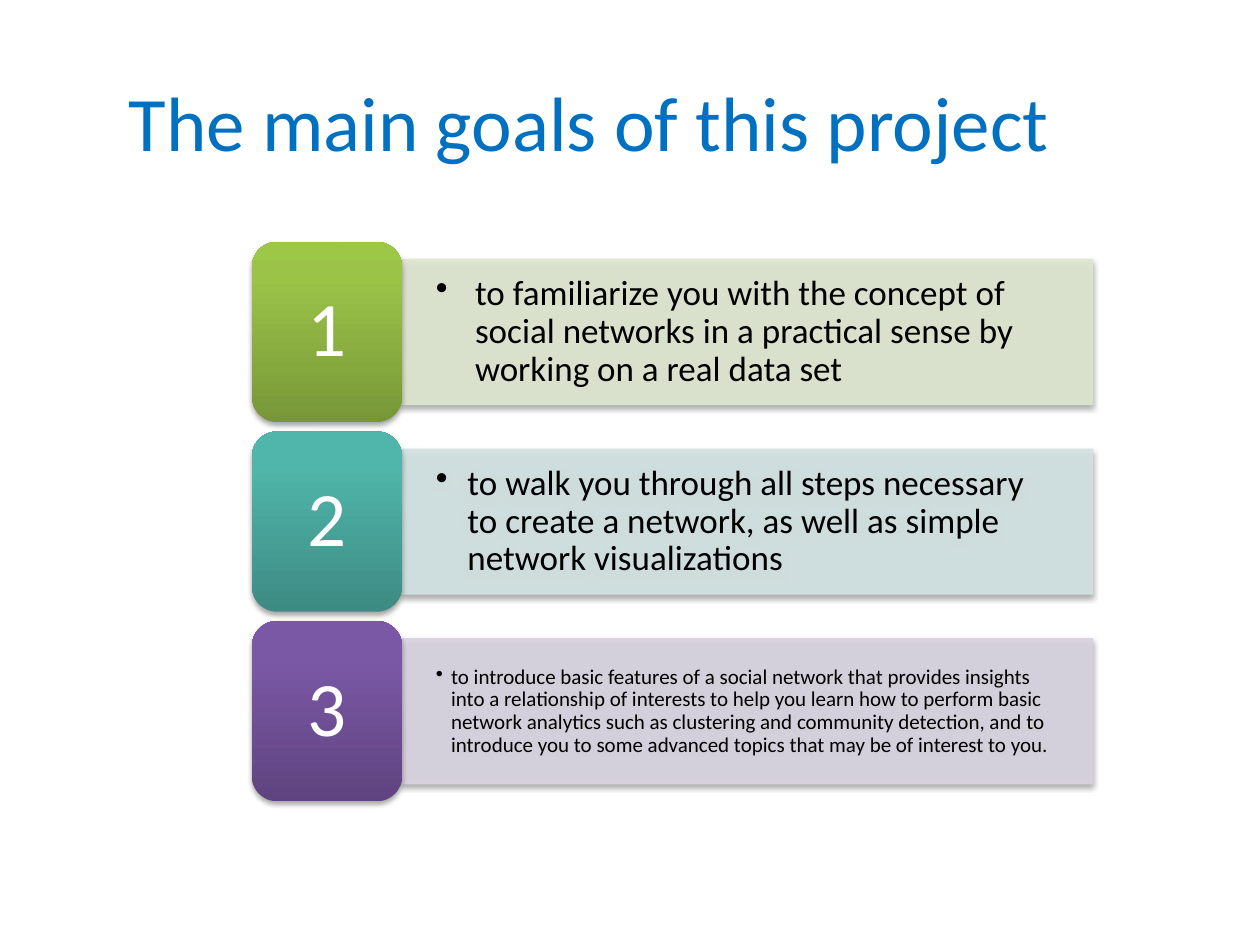
from dataclasses import dataclass

from lxml.etree import SubElement
from pptx import Presentation
from pptx.dml.color import RGBColor
from pptx.enum.shapes import MSO_SHAPE
from pptx.enum.text import MSO_ANCHOR, PP_ALIGN
from pptx.oxml.ns import qn
from pptx.util import Inches, Pt


@dataclass(frozen=True)
class Theme:
    font: str = "Calibri"
    title: str = "0070C0"
    goal: str = "000000"
    number: str = "FFFFFF"
    shadow: str = "000000"
    heading_size: int = 44


@dataclass(frozen=True)
class Goal:
    text: str
    size: int
    indent: float
    bar: str
    gradient: tuple[str, str, str]


THEME = Theme()
GOALS = (
    Goal(
        "to familiarize you with the concept of social networks in a practical "
        "sense by working on a real data set",
        20, 0.31, "DEE7D1", ("779737", "9BC348", "9DC746"),
    ),
    Goal(
        "to walk you through all steps necessary to create a network, as well as "
        "simple network visualizations",
        20, 0.25, "D2E3E2", ("3D8B83", "50B5AA", "4EB8AC"),
    ),
    Goal(
        "to introduce basic features of a social network that provides insights "
        "into a relationship of interests to help you learn how to perform basic "
        "network analytics such as clustering and community detection, and to "
        "introduce you to some advanced topics that may be of interest to you.",
        12, 0.12, "D8D3E0", ("5F4480", "7B58A6", "7C57A8"),
    ),
)
BADGE_LEFT, BADGE_WIDTH, BADGE_HEIGHT = 2, 1.19, 1.43
BAR_WIDTH, BAR_HEIGHT = 5.48, 1.15
FIRST_TOP, LAST_TOP = 1.92, 4.93
ROW_PITCH = (LAST_TOP - FIRST_TOP) / (len(GOALS) - 1)


def apply_format(target, values: dict) -> None:
    for name, value in values.items():
        setattr(target, name, value)


def write_text(shape, text: str, size: int, color: str, align, inset: tuple[float, float]):
    side, edge = map(Inches, inset)
    frame = shape.text_frame
    apply_format(frame, {
        "word_wrap": True, "vertical_anchor": MSO_ANCHOR.MIDDLE,
        "margin_left": side, "margin_right": side,
        "margin_top": edge, "margin_bottom": edge,
    })
    paragraph = frame.paragraphs[0]
    apply_format(paragraph, {"alignment": align, "line_spacing": 0.9})
    run = paragraph.add_run()
    run.text = text
    apply_format(run.font, {"name": THEME.font, "size": Pt(size)})
    run.font.color.rgb = RGBColor.from_string(color)
    return paragraph


def add_shadow(shape) -> None:
    shape.shadow.inherit = False
    effects = shape._element.spPr.find(qn("a:effectLst"))
    outer = SubElement(effects, qn("a:outerShdw"), blurRad=str(Pt(3.1)),
                       dist=str(Pt(1.8)), dir="5400000", rotWithShape="0")
    color = SubElement(outer, qn("a:srgbClr"), val=THEME.shadow)
    SubElement(color, qn("a:alpha"), val="35000")


def add_bar(slide, goal: Goal, top: float) -> None:
    bar = slide.shapes.add_shape(
        MSO_SHAPE.RECTANGLE, Inches(BADGE_LEFT + BADGE_WIDTH),
        Inches(top + (BADGE_HEIGHT - BAR_HEIGHT) / 2),
        Inches(BAR_WIDTH), Inches(BAR_HEIGHT))
    bar.fill.solid()
    bar.line.width = Pt(0.75)
    for paint in (bar.fill.fore_color, bar.line.color):
        paint.rgb = RGBColor.from_string(goal.bar)
    for color in bar._element.spPr.iter(qn("a:srgbClr")):
        SubElement(color, qn("a:alpha"), val="90000")
    add_shadow(bar)
    paragraph = write_text(bar, goal.text, goal.size, THEME.goal,
                           PP_ALIGN.LEFT, (0.27, 0.14))
    properties = paragraph._p.get_or_add_pPr()
    properties.set("marL", str(Inches(goal.indent)))
    properties.set("indent", str(-Inches(goal.indent)))
    SubElement(properties, qn("a:buChar"), char="•")


def add_badge(slide, number: int, goal: Goal, top: float) -> None:
    badge = slide.shapes.add_shape(
        MSO_SHAPE.ROUNDED_RECTANGLE, Inches(BADGE_LEFT), Inches(top),
        Inches(BADGE_WIDTH), Inches(BADGE_HEIGHT))
    badge.fill.gradient()
    badge.fill.gradient_angle = 90
    stops = badge._element.spPr.find(qn("a:gradFill")).find(qn("a:gsLst"))
    for stop in list(stops):
        stops.remove(stop)
    for percent, color in zip((0, 80, 100), goal.gradient):
        stop = SubElement(stops, qn("a:gs"), pos=str(percent * 1000))
        SubElement(stop, qn("a:srgbClr"), val=color)
    badge.line.fill.background()
    add_shadow(badge)
    write_text(badge, str(number), THEME.heading_size, THEME.number,
               PP_ALIGN.CENTER, (0.18, 0.09))


def add_title(slide, text: str) -> None:
    title = slide.shapes.title
    apply_format(title, {
        "left": Inches(0.92), "top": Inches(0.33),
        "width": Inches(8.83), "height": Inches(1.25),
    })
    paragraph = write_text(title, text, THEME.heading_size, THEME.title,
                           PP_ALIGN.LEFT, (0.1, 0.05))
    paragraph.line_spacing = 1.0


def main() -> None:
    deck = Presentation()
    apply_format(deck, {"slide_width": Inches(10), "slide_height": Inches(7.5)})
    slide = deck.slides.add_slide(deck.slide_layouts.get_by_name("Title Only"))
    add_title(slide, "The main goals of this project")
    for row, goal in enumerate(GOALS):
        top = FIRST_TOP + row * ROW_PITCH
        add_bar(slide, goal, top)
        add_badge(slide, row + 1, goal, top)
    deck.save("out.pptx")


if __name__ == "__main__":
    main()
